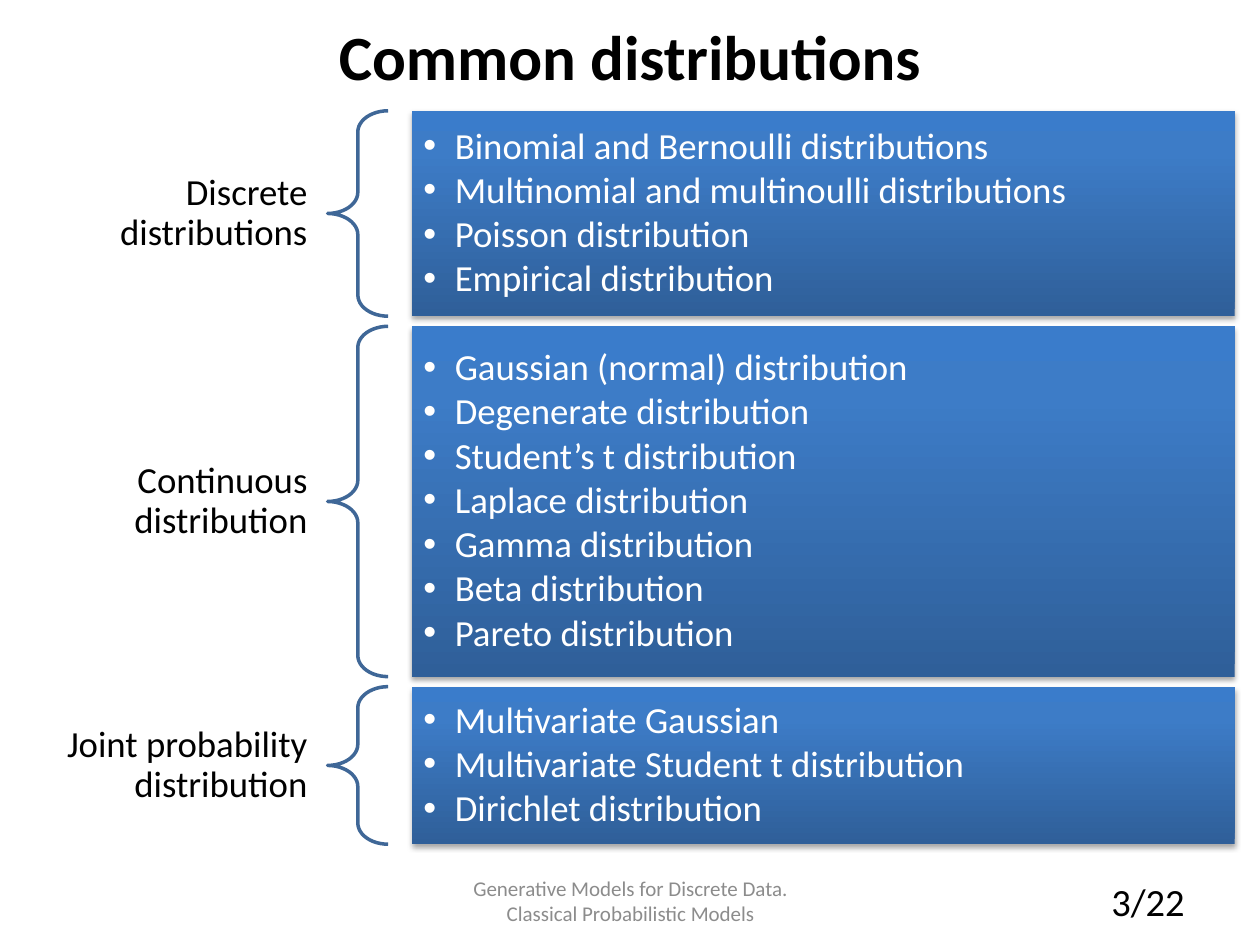
from copy import deepcopy
from pptx import Presentation
from pptx.dml.color import RGBColor
from pptx.enum.shapes import MSO_SHAPE
from pptx.enum.text import MSO_ANCHOR, PP_ALIGN
from pptx.oxml import parse_xml
from pptx.oxml.ns import nsdecls, qn
from pptx.util import Inches, Pt

BLACK = RGBColor(0, 0, 0)
WHITE = RGBColor(255, 255, 255)
GRAY = RGBColor(0x8C, 0x8C, 0x8C)
BRACE = RGBColor(0x3F, 0x67, 0x97)
STOPS = [(0, RGBColor(0x2F, 0x5F, 0x99)),
         (0.8, RGBColor(0x3D, 0x7C, 0xC7)),
         (1, RGBColor(0x3A, 0x7C, 0xCB))]

GROUPS = [
    ("Discrete distributions", 0.88, 1.63,
     ["Binomial and Bernoulli distributions",
      "Multinomial and multinoulli distributions",
      "Poisson distribution", "Empirical distribution"]),
    ("Continuous distribution", 2.59, 2.78,
     ["Gaussian (normal) distribution", "Degenerate distribution",
      "Student’s t distribution", "Laplace distribution",
      "Gamma distribution", "Beta distribution", "Pareto distribution"]),
    ("Joint probability distribution", 5.45, 1.25,
     ["Multivariate Gaussian", "Multivariate Student t distribution",
      "Dirichlet distribution"]),
]
LABEL_HEIGHT = 0.77


def write(sp, lines, size, color, align, margins=(0.1, 0.05), spacing=1, after=0, bold=False):
    tf = sp.text_frame
    x, y = (Inches(m) for m in margins)
    frame = dict(word_wrap=True, vertical_anchor=MSO_ANCHOR.MIDDLE,
                 margin_left=x, margin_right=x, margin_top=y, margin_bottom=y)
    for name, value in frame.items():
        setattr(tf, name, value)
    for i, line in enumerate(lines):
        p = tf.paragraphs[0] if i == 0 else tf.add_paragraph()
        p.text = line
        p.alignment, p.line_spacing, p.space_after = align, spacing, Pt(after)
        for r in p.runs:
            for name, value in dict(name="Calibri", size=Pt(size), bold=bold).items():
                setattr(r.font, name, value)
            r.font.color.rgb = color


def box(left, top, width, height):
    return s.shapes.add_textbox(Inches(left), Inches(top), Inches(width), Inches(height))


prs = Presentation()
prs.slide_width, prs.slide_height = Inches(10), Inches(7.5)
s = prs.slides.add_slide(prs.slide_layouts[5])

title = s.shapes.title
for name, value in dict(left=0, top=0.05, width=10, height=0.77).items():
    setattr(title, name, Inches(value))
write(title, ["Common distributions"], 36, BLACK, PP_ALIGN.CENTER, bold=True)

write(box(3.42, 6.95, 3.17, 0.4),
      ["Generative Models for Discrete Data.\vClassical Probabilistic Models"],
      12, GRAY, PP_ALIGN.CENTER)
write(box(7.17, 6.95, 2.33, 0.4), ["3/22"], 22, BLACK, PP_ALIGN.RIGHT)

for label, top, height, items in GROUPS:
    sp = box(0.2, top + (height - LABEL_HEIGHT) / 2, 2.4, LABEL_HEIGHT)
    write(sp, [label], 21, BLACK, PP_ALIGN.RIGHT, (0.16, 0.06), 0.9)

    brace = s.shapes.add_shape(MSO_SHAPE.LEFT_BRACE, Inches(2.6), Inches(top),
                               Inches(0.48), Inches(height))
    brace.adjustments[0], brace.adjustments[1] = 0.35, 0.5
    brace.shadow.inherit = False
    brace.fill.background()
    brace.line.color.rgb = BRACE
    brace.line.width = Pt(2)

    panel = s.shapes.add_shape(MSO_SHAPE.RECTANGLE, Inches(3.27), Inches(top),
                               Inches(6.53), Inches(height))
    panel.line.fill.background()
    panel.fill.gradient()
    panel.fill.gradient_angle = 90
    spPr = panel._element.spPr
    stop_list = spPr.find(".//" + qn("a:gsLst"))
    stop_list.append(deepcopy(stop_list[-1]))
    for stop, (position, color) in zip(panel.fill.gradient_stops, STOPS):
        stop.position = position
        stop.color.rgb = color
    panel.shadow.inherit = False
    spPr.find(qn("a:effectLst")).append(parse_xml(
        f'<a:outerShdw {nsdecls("a")} blurRad="{Pt(3.1)}" dist="{Pt(1.8)}" dir="5400000" '
        'rotWithShape="0"><a:srgbClr val="000000"><a:alpha val="35000"/></a:srgbClr>'
        '</a:outerShdw>'))

    write(panel, items, 21, WHITE, PP_ALIGN.LEFT, (0.09, 0.09), 0.9, 2.6)
    for p in panel.text_frame.paragraphs:
        pPr = p._p.get_or_add_pPr()
        pPr.set("marL", str(Inches(0.25)))
        pPr.set("indent", str(Inches(-0.25)))
        pPr.append(parse_xml(f'<a:buFont {nsdecls("a")} typeface="Arial"/>'))
        pPr.append(parse_xml(f'<a:buChar {nsdecls("a")} char="•"/>'))

prs.save("out.pptx")
